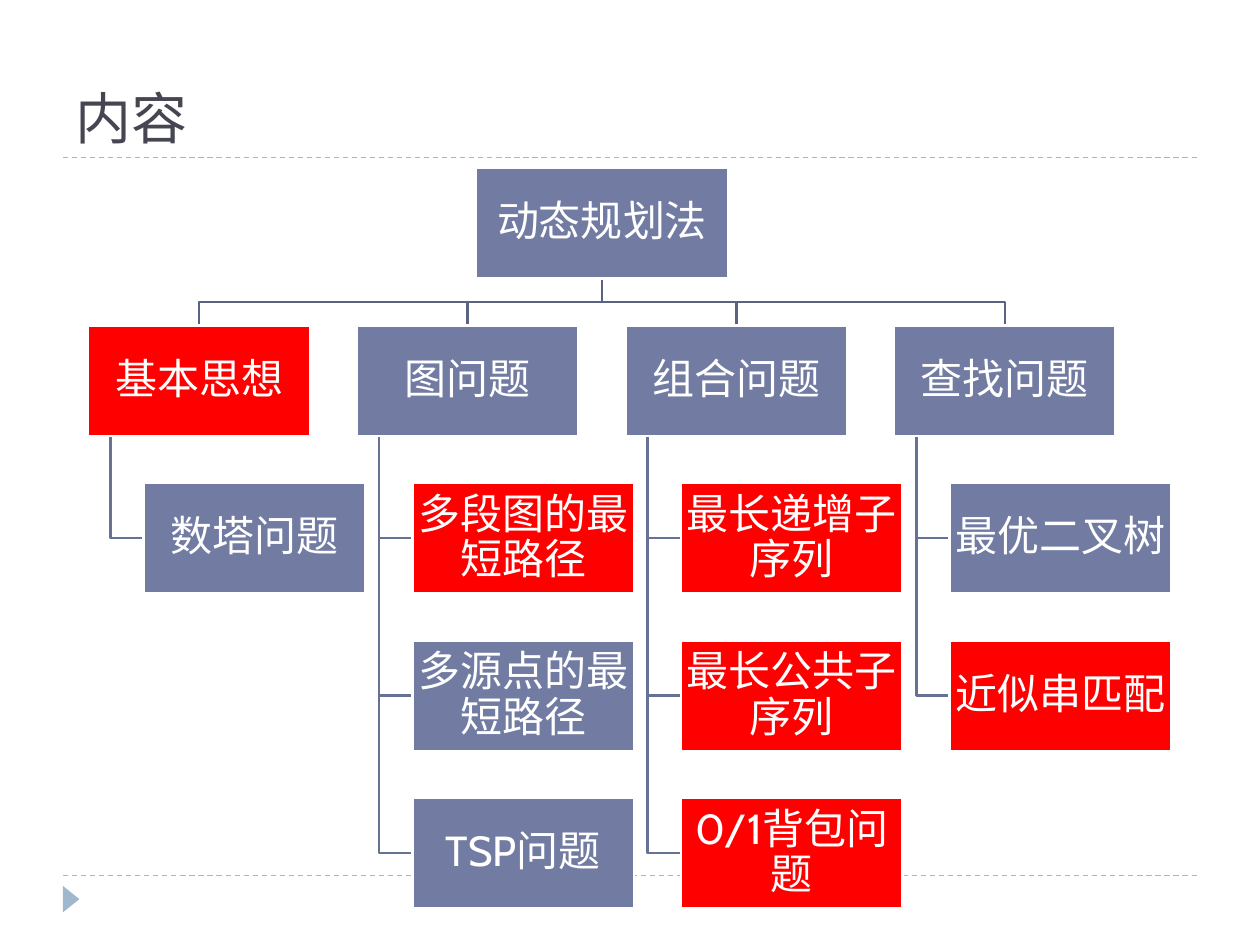
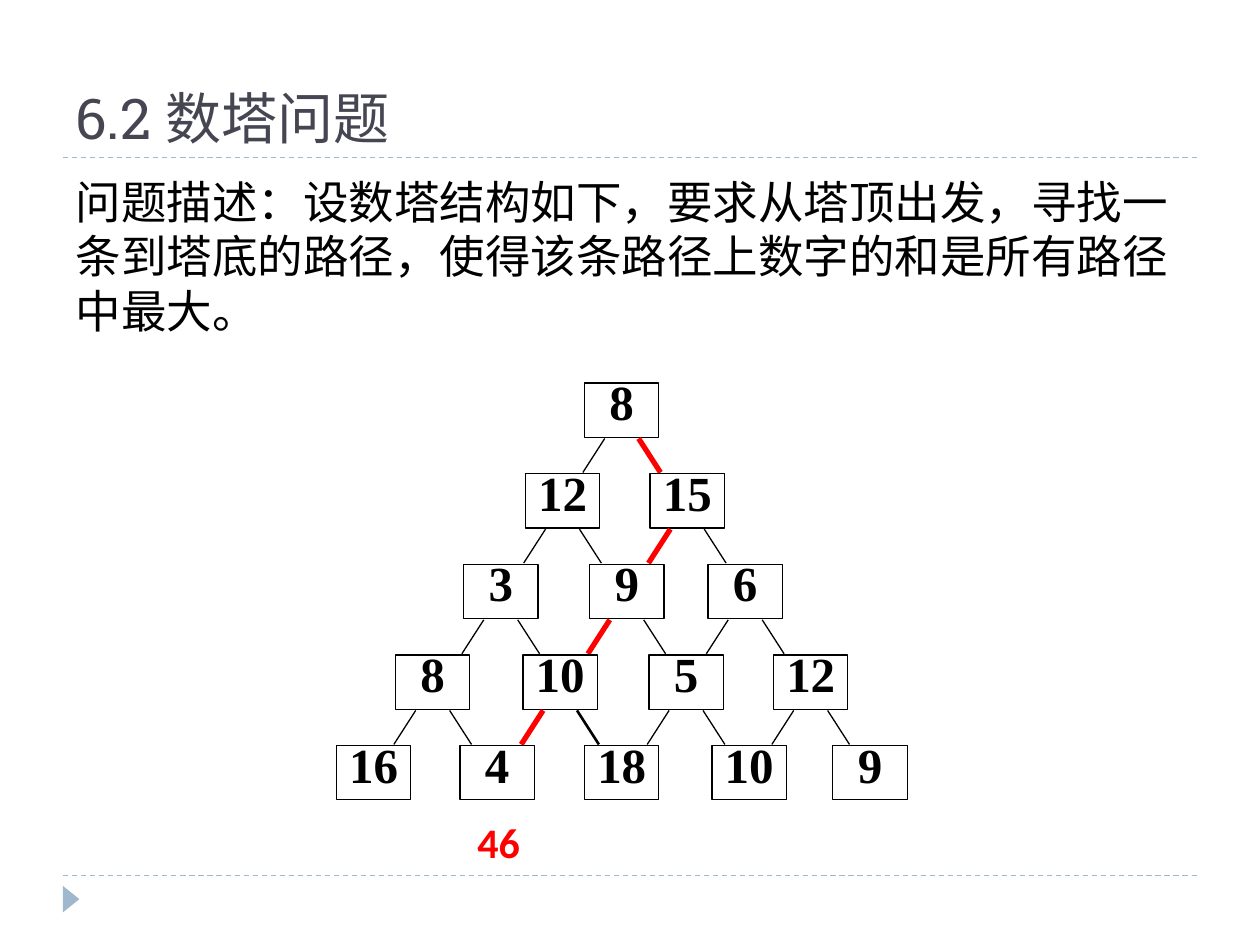
from pptx import Presentation
from pptx.dml.color import RGBColor
from pptx.enum.dml import MSO_LINE
from pptx.enum.shapes import MSO_CONNECTOR, MSO_SHAPE
from pptx.enum.text import MSO_ANCHOR, MSO_AUTO_SIZE, PP_ALIGN
from pptx.oxml.ns import qn
from pptx.util import Pt
from lxml import etree

STRAIGHT, DASH = MSO_CONNECTOR.STRAIGHT, MSO_LINE.DASH
RECTANGLE, TRIANGLE = MSO_SHAPE.RECTANGLE, MSO_SHAPE.ISOSCELES_TRIANGLE
TOP, MIDDLE, BOTTOM = MSO_ANCHOR.TOP, MSO_ANCHOR.MIDDLE, MSO_ANCHOR.BOTTOM
LEFT, CENTER = PP_ALIGN.LEFT, PP_ALIGN.CENTER
NO_FIT = MSO_AUTO_SIZE.NONE

PALE_BLUE, SLATE, BRANCH_LINE, BUS_LINE = "9FB8CD", "727CA3", "677194", "5B6383"
RED, WHITE, BLACK, TITLE_GREY = "FF0000", "FFFFFF", "000000", "464653"

PAGE_BOX = (36, 90, 648, 410.4)
TITLE_BOX = (36, 12.24, 648, 77.76)
BODY_BOX = (36, 95.76, 648, 388.8)
CHART_BOX = (50.4, 95.9, 619, 423.3)
TOWER_BOX = (192.2, 218.9, 326, 238.3)
ANSWER_BOX = (265.7, 463, 38.9, 36.7)

TITLE_STYLE = {"font": {"name": "Roboto Slab", "size": Pt(32)}, "color": TITLE_GREY,
               "para": {"alignment": LEFT}, "frame": {"vertical_anchor": BOTTOM}}
BODY_STYLE = {"font": {"name": "Cabin", "size": Pt(26)}, "color": BLACK,
              "para": {"alignment": LEFT, "space_before": Pt(6)},
              "frame": {"vertical_anchor": TOP}}
TOPIC_STYLE = {"font": {"name": "Cabin", "size": Pt(24)}, "color": WHITE,
               "para": {"alignment": CENTER, "line_spacing": 0.9},
               "frame": {"vertical_anchor": MIDDLE, "margin_left": Pt(1.2),
                         "margin_right": Pt(1.2), "margin_top": Pt(1.2),
                         "margin_bottom": Pt(1.2)}}
NUMBER_STYLE = {"font": {"name": "Times New Roman", "size": Pt(28), "bold": True},
                "color": BLACK, "para": {"alignment": CENTER, "line_spacing": 0.8},
                "frame": {"vertical_anchor": TOP, "margin_left": 0, "margin_right": 0,
                          "margin_top": 0, "margin_bottom": 0}}
ANSWER_STYLE = {"font": {"name": "Calibri", "size": Pt(24), "bold": True},
                "color": RED, "para": {"alignment": LEFT}, "frame": {"word_wrap": False}}

ROOT_TOPIC = ("动态规划法", SLATE)
TOPICS = [
    (("基本思想", RED), [("数塔问题", SLATE)]),
    (("图问题", SLATE), [("多段图的最短路径", RED), ("多源点的最短路径", SLATE),
                      ("TSP问题", SLATE)]),
    (("组合问题", SLATE), [("最长递增子序列", RED), ("最长公共子序列", RED),
                       ("0/1背包问题", RED)]),
    (("查找问题", SLATE), [("最优二叉树", SLATE), ("近似串匹配", RED)]),
]
TOWER_ROWS = [
    [("8", 141.8)],
    [("12", 108), ("15", 179.3)],
    [("3", 72.7), ("9", 144.7), ("6", 212.4)],
    [("8", 33.8), ("10", 106.6), ("5", 178.6), ("12", 249.8)],
    [("16", 0), ("4", 70.6), ("18", 141.8), ("10", 214.6), ("9", 283.7)],
]
TOWER_LINKS = {(0, 0, 1): (RED, 3), (1, 1, -1): (RED, 3), (2, 1, -1): (RED, 3),
               (3, 1, -1): (RED, 3), (3, 1, 1): (BLACK, 1.5)}
PROBLEM = ("问题描述：设数塔结构如下，要求从塔顶出发，寻找一条到塔底的路径，"
           "使得该条路径上数字的和是所有路径中最大。")


def points(*values):
    return [Pt(value) for value in values]


def apply(target, values):
    for name, value in values.items():
        setattr(target, name, value)


def paint(fill, color):
    fill.solid()
    fill.fore_color.rgb = RGBColor.from_string(color)


def draw_line(line, color, width):
    paint(line.fill, color)
    line.width = Pt(width)


def write(shape, text, style):
    frame = shape.text_frame
    frame.auto_size = NO_FIT
    frame.word_wrap = True
    apply(frame, style["frame"])
    para = frame.paragraphs[0]
    apply(para, style["para"])
    span = para.add_run()
    span.text = text
    apply(span.font, style["font"])
    paint(span.font.fill, style["color"])


def fill_placeholder(shape, box, text, style):
    apply(shape, dict(zip(("left", "top", "width", "height"), points(*box))))
    write(shape, text, style)


def add_box(page, box, text, fill, line, width, style):
    shape = page.shapes.add_shape(RECTANGLE, *points(*box))
    shape.shadow.inherit = False
    paint(shape.fill, fill)
    draw_line(shape.line, line, width)
    write(shape, text, style)


def add_link(page, ends, color, width):
    link = page.shapes.add_connector(STRAIGHT, *points(*ends))
    draw_line(link.line, color, width)
    etree.SubElement(link._element.spPr, qn("a:effectLst"))
    return link


def add_elbow(page, corners, color):
    start, *rest = [points(*corner) for corner in corners]
    builder = page.shapes.build_freeform(*start)
    builder.add_line_segments(rest, close=False)
    elbow = builder.convert_to_shape()
    elbow.shadow.inherit = False
    elbow.fill.background()
    draw_line(elbow.line, color, 1.5)


def add_page(deck, layout, title):
    page = deck.slides.add_slide(deck.slide_layouts[layout])
    paint(page.background.fill, WHITE)
    left, top, width, height = PAGE_BOX
    for y in (top + height, top):
        rule = add_link(page, (left, y, left + width, y), PALE_BLUE, 0.75)
        rule.line.dash_style = DASH
    marker = page.shapes.add_shape(
        TRIANGLE, *points(left - 2.9, top + height + 8.7, 15.1, 9.4))
    marker.rotation = 90
    marker.shadow.inherit = False
    paint(marker.fill, PALE_BLUE)
    marker.line.fill.background()
    fill_placeholder(page.shapes.title, TITLE_BOX, title, TITLE_STYLE)
    return page


def add_topic_chart(page, box):
    left, top, _, _ = box
    box_width, box_height, root_width = 126.7, 63.3, 144
    column_step, row_step = 153.5, 90
    indent, trunk_offset = 31.7, 12.7
    center = left + ((len(TOPICS) - 1) * column_step + box_width) / 2
    heads_top = top + row_step
    bus = (top + box_height + heads_top) / 2
    boxes = [((center - root_width / 2, top, root_width, box_height), ROOT_TOPIC)]

    for column, (head, children) in enumerate(TOPICS):
        x = left + column * column_step
        middle, trunk = x + box_width / 2, x + trunk_offset
        add_elbow(page, [(center, top + box_height), (center, bus),
                         (middle, bus), (middle, heads_top)], BUS_LINE)
        boxes.append(((x, heads_top, box_width, box_height), head))
        for row, child in enumerate(children, 1):
            y = heads_top + row * row_step
            side = y + box_height / 2
            add_elbow(page, [(trunk, heads_top + box_height), (trunk, side),
                             (x + indent, side)], BRANCH_LINE)
            boxes.append(((x + indent, y, box_width, box_height), child))

    for place, (text, color) in boxes:
        add_box(page, place, text, color, WHITE, 1.5, TOPIC_STYLE)


def add_number_tower(page, box):
    left, top, _, _ = box
    box_width, box_height, row_step = 42.5, 31, 51.8
    link_offset, link_top, link_run, link_drop = 9.7, 31.7, 12.5, 19.4
    for row, numbers in enumerate(TOWER_ROWS):
        y = top + row * row_step
        for index, (text, offset) in enumerate(numbers):
            x = left + offset
            add_box(page, (x, y, box_width, box_height), text,
                    WHITE, BLACK, 0.75, NUMBER_STYLE)
            if row == len(TOWER_ROWS) - 1:
                continue
            for side in (-1, 1):
                start = x + box_width / 2 + side * link_offset
                color, width = TOWER_LINKS.get((row, index, side), (BLACK, 0.75))
                add_link(page, (start, y + link_top, start + side * link_run,
                                y + link_top + link_drop), color, width)


def add_problem(page, box):
    body = page.placeholders[1]
    fill_placeholder(body, box, PROBLEM, BODY_STYLE)
    properties = body.text_frame.paragraphs[0]._p.get_or_add_pPr()
    properties.set("marL", "0")
    properties.set("indent", "0")
    etree.SubElement(properties, qn("a:buNone"))


def add_answer(page, box):
    write(page.shapes.add_textbox(*points(*box)), "46", ANSWER_STYLE)


def main():
    deck = Presentation()
    deck.slide_width, deck.slide_height = points(720, 540)

    contents = add_page(deck, 5, "内容")
    add_topic_chart(contents, CHART_BOX)

    tower = add_page(deck, 1, "6.2 数塔问题")
    add_problem(tower, BODY_BOX)
    add_number_tower(tower, TOWER_BOX)
    add_answer(tower, ANSWER_BOX)

    deck.save("out.pptx")


if __name__ == "__main__":
    main()
